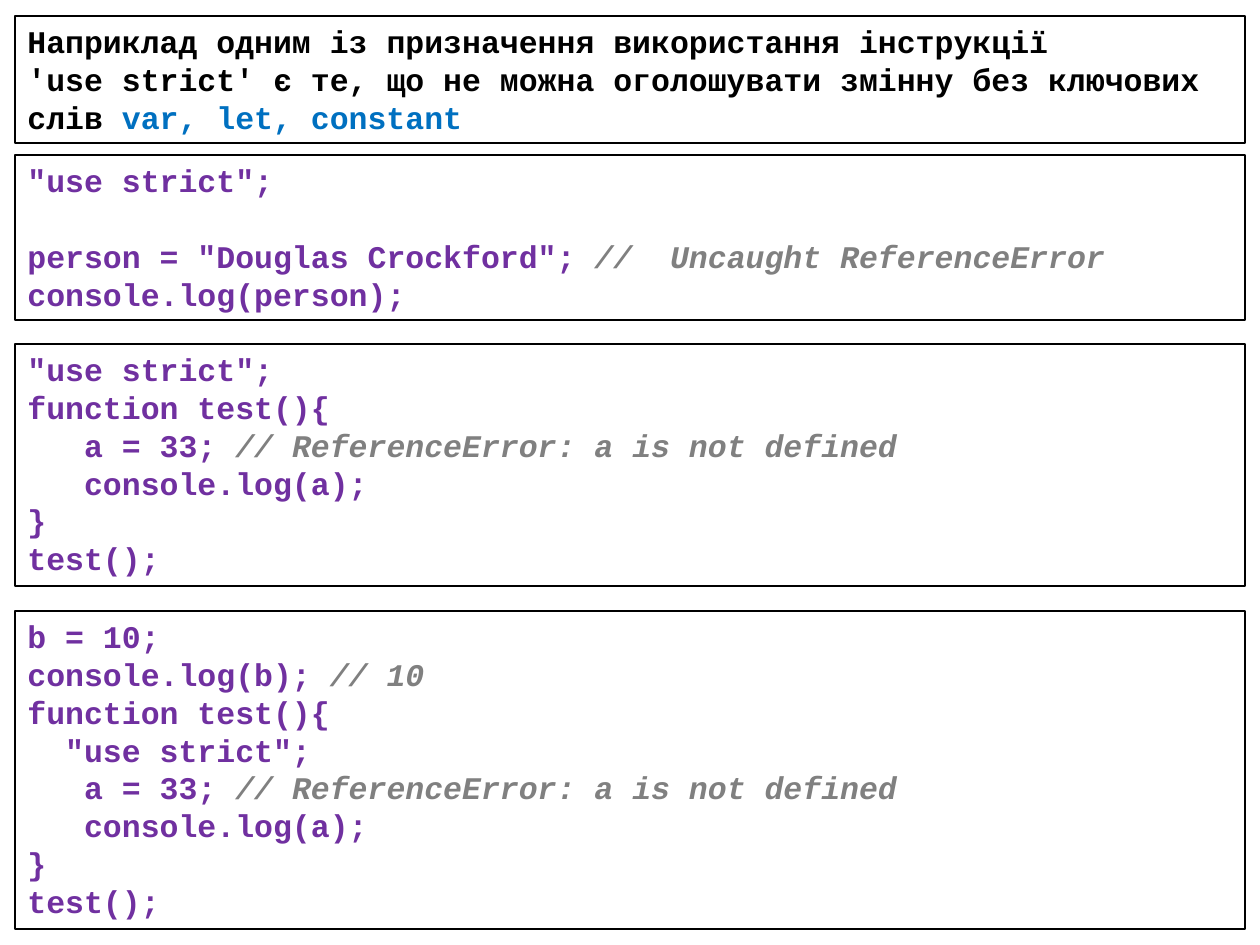
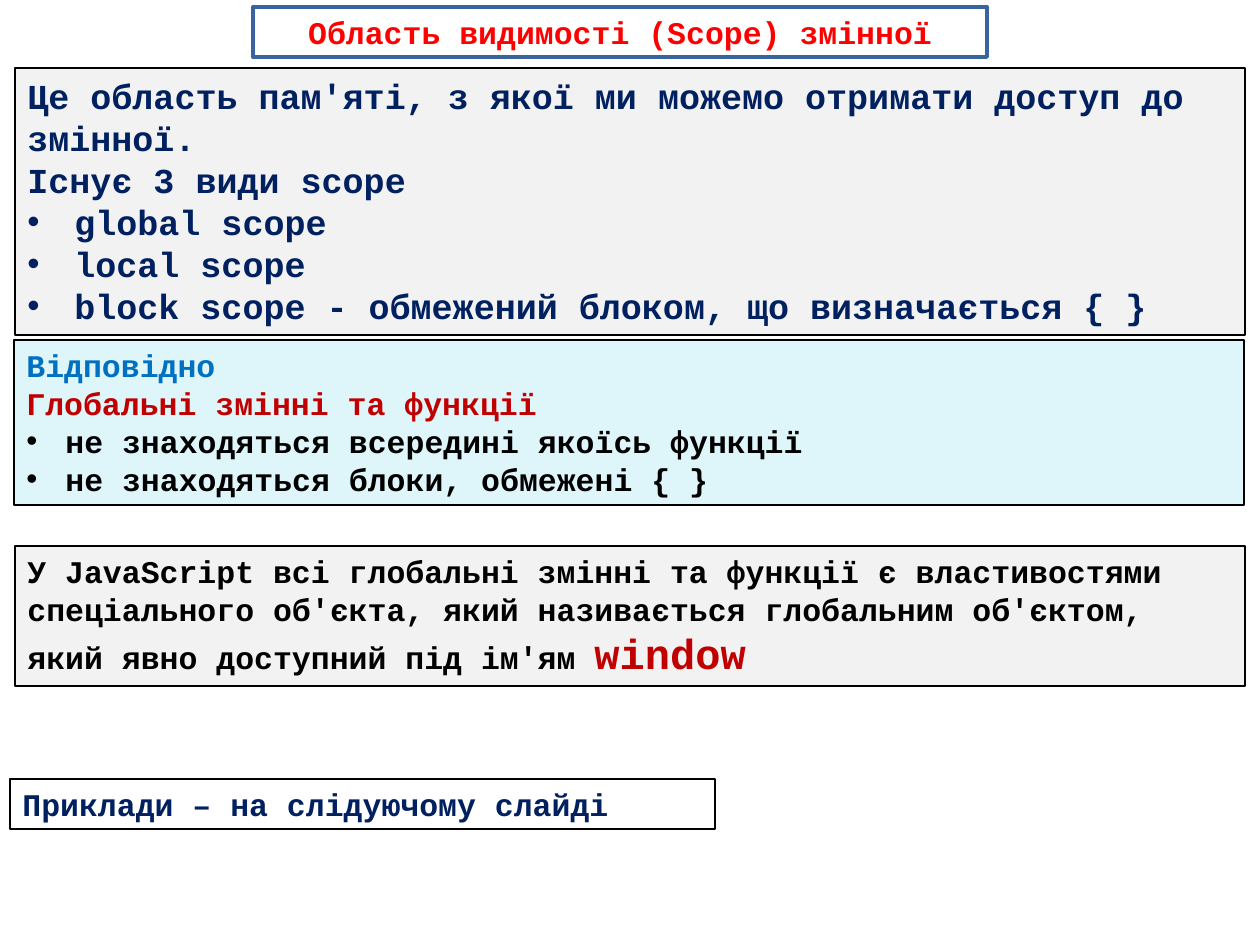
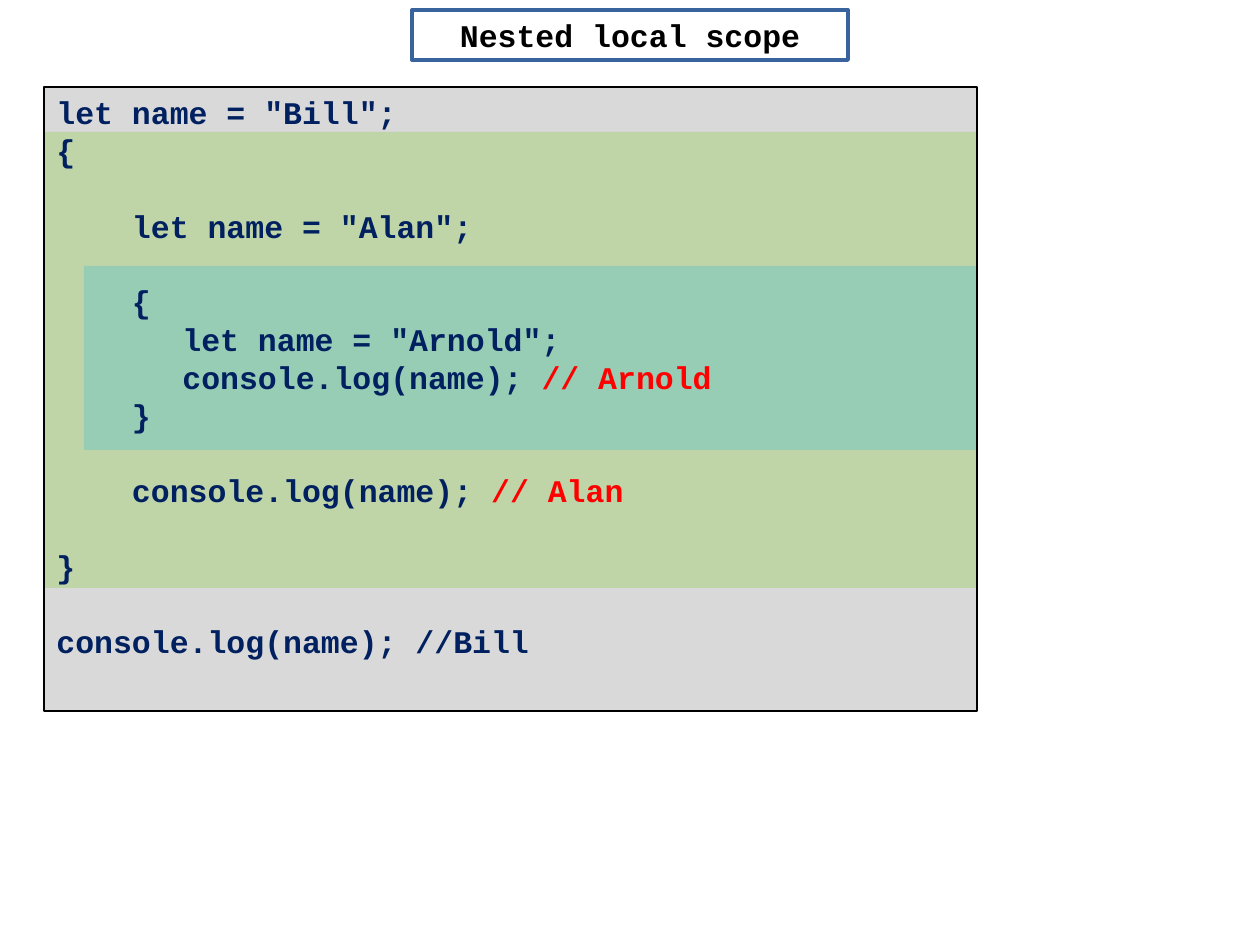
from lxml import etree
from pptx import Presentation
from pptx import util as u
from pptx.dml import color
from pptx.enum import shapes, text
from pptx.oxml import ns

FONT = "Courier New"
WIDE, TALL = 1260, 945
LINE = 1.2  # line pitch as a share of the font size
BLACK, WHITE, RED, NAVY = "000000", "FFFFFF", "FF0000", "002060"
PURPLE, GREY, BLUE, DARK, PALE = "7030A0", "808080", "0070C0", "C00000", "F2F2F2"

INTRO = [
    "Наприклад одним із призначення використання інструкції",
    ["'use strict' є те, що не можна оголошувати змінну без ключових слів ",
     ("var, let, constant", dict(color=BLUE))],
]
# top, height, code
CODES = [
    (155, 165, '''"use strict";

person = "Douglas Crockford"; //  Uncaught ReferenceError
console.log(person);'''),
    (344, 242, '''"use strict";
function test(){
   a = 33; // ReferenceError: a is not defined
   console.log(a);
}
test();'''),
    (611, 318, '''b = 10;
console.log(b); // 10
function test(){
  "use strict";
   a = 33; // ReferenceError: a is not defined
   console.log(a);
}
test();'''),
]

SCOPES = [
    "Це область пам'яті, з якої ми можемо отримати доступ до змінної.",
    "Існує 3 види scope",
    "• global scope",
    "• local scope",
    "• block scope - обмежений блоком, що визначається { }",
]
GLOBALS = [
    [("Відповідно", dict(color=BLUE))],
    [("Глобальні змінні та функції", dict(color=DARK))],
    "• не знаходяться всередині якоїсь функції",
    "• не знаходяться блоки, обмежені { }",
]
WINDOW = [[
    "У JavaScript всі глобальні змінні та функції є властивостями спеціального "
    "об'єкта, який називається глобальним об'єктом, який явно доступний під ім'ям ",
    ("window", dict(color=DARK, size=24)),
]]
# place, fill, line width, font format, paragraphs
NOTES = [
    ((15, 68, 1230, 267), PALE, 1, dict(color=NAVY, size=20), SCOPES),
    ((14, 340, 1230, 165), "DEF5FA", 0.75, {}, GLOBALS),
    ((15, 546, 1230, 140), PALE, 1, {}, WINDOW),
    ((10, 779, 705, 50), WHITE, 1, dict(color=NAVY), ["Приклади – на слідуючому слайді"]),
]

# place, fill, opacity in percent
LAYERS = [
    ((44, 86, 933, 625), "D9D9D9", 100),
    ((44, 132, 933, 456), "92D050", 36),
    ((84, 266, 893, 184), "00B0F0", 20),
]
NESTED = '''let name = "Bill";
{

    let name = "Alan";

    {
    \tlet name = "Arnold";
    \tconsole.log(name); // Arnold
    }

    console.log(name); // Alan

}

console.log(name); //Bill'''


def px(n):
    return u.Emu(round(n * 914400 / 126))


def rgb(code):
    return color.RGBColor.from_string(code)


def sub(node, tag, **attrs):
    return etree.SubElement(node, ns.qn(tag), **attrs)


def rect(group, place, fill=None, alpha=100, line=None, width=1):
    box = group.add_shape(shapes.MSO_SHAPE.RECTANGLE, *map(px, place))
    box.shadow.inherit = False
    if fill:
        box.fill.solid()
        box.fill.fore_color.rgb = rgb(fill)
        if alpha < 100:
            tint = box.fill._xPr.find(".//" + ns.qn("a:srgbClr"))
            sub(tint, "a:alpha", val=str(alpha * 1000))
    else:
        box.fill.background()
    if line:
        box.line.color.rgb = rgb(line)
        box.line.width = u.Pt(width)
    else:
        box.line.fill.background()
    return box


def bullet(para, size):
    step = px(47 if size == 20 else 39)
    props = para._p.get_or_add_pPr()
    props.set("marL", str(step))
    props.set("indent", str(-step))
    sub(props, "a:buFont", typeface="Arial")
    sub(props, "a:buChar", char="•")


def write(box, paras, look, middle=False):
    """Fill a box; an empty entry becomes space before the next paragraph."""
    base = dict(color=BLACK, size=18, bold=True, name=FONT) | look
    frame = box.text_frame
    frame.word_wrap = True
    frame.vertical_anchor = text.MSO_ANCHOR.MIDDLE if middle else text.MSO_ANCHOR.TOP
    para, gap = None, 0
    for item in paras:
        if not item:
            gap += 1
            continue
        para = frame.add_paragraph() if para else frame.paragraphs[0]
        para.alignment = text.PP_ALIGN.CENTER if middle else text.PP_ALIGN.LEFT
        if gap:
            para.space_before = u.Pt(gap * LINE * base["size"])
            gap = 0
        runs = [item] if isinstance(item, str) else item
        if isinstance(item, str) and item.startswith("• "):
            bullet(para, base["size"])
            runs = [item[2:]]
        for part in runs:
            words, extra = (part, {}) if isinstance(part, str) else part
            run = para.add_run()
            run.text = words
            form = base | extra
            run.font.color.rgb = rgb(form.pop("color"))
            form["size"] = u.Pt(form["size"])
            for key, val in form.items():
                setattr(run.font, key, val)


def code(source, look):
    """Split code into paragraphs, with comments in their own format."""
    paras = []
    for row in source.split("\n"):
        head, mark, tail = row.partition("// ")
        paras.append([head, (mark + tail, look)] if mark else row)
    return paras


def title(group, place, words, tone):
    box = rect(group, place, WHITE, line="39639D", width=2.25)
    write(box, [words], dict(color=tone), middle=True)


def strict(group):
    write(rect(group, (15, 16, 1230, 127), line=BLACK, width=1.5), INTRO, {})
    for top, high, source in CODES:
        box = rect(group, (15, top, 1230, high), line=BLACK, width=1.5)
        write(box, code(source, dict(color=GREY, italic=True)), dict(color=PURPLE))


def scope(group):
    title(group, (253, 7, 734, 50), "Область видимості (Scope) змінної", RED)
    for place, fill, width, look, paras in NOTES:
        write(rect(group, place, fill, line=BLACK, width=width), paras, look)


def nested(group):
    title(group, (412, 10, 436, 50), "Nested local scope", BLACK)
    stack = group.add_group_shape().shapes
    for place, fill, alpha in LAYERS:
        rect(stack, place, fill, alpha)
    box = rect(stack, (44, 87, 933, 624), line=BLACK, width=0.75)
    write(box, code(NESTED, dict(color=RED)), dict(color=NAVY))


def main():
    deck = Presentation()
    deck.slide_width, deck.slide_height = px(WIDE), px(TALL)
    for draw in (strict, scope, nested):
        draw(deck.slides.add_slide(deck.slide_layouts[6]).shapes)
    deck.save("out.pptx")


if __name__ == "__main__":
    main()
